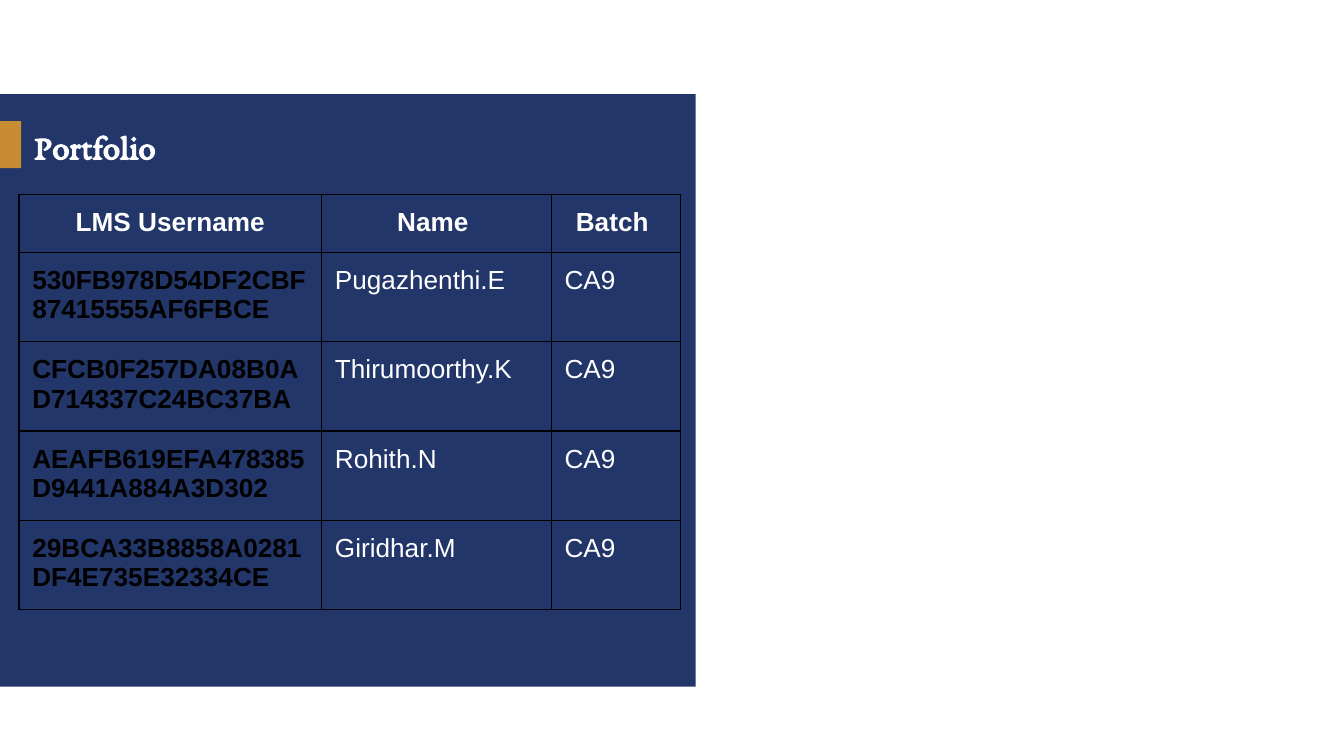
import pptx
import pptx.dml.color
import pptx.enum.shapes
import pptx.enum.text
import pptx.oxml
import pptx.oxml.ns
import pptx.util

Cm = pptx.util.Cm
Pt = pptx.util.Pt
RGBColor = pptx.dml.color.RGBColor
Align = pptx.enum.text.PP_ALIGN
Anchor = pptx.enum.text.MSO_ANCHOR

NAVY = RGBColor(0x22, 0x36, 0x69)
GOLD = RGBColor(0xC8, 0x8C, 0x32)
WHITE = RGBColor(0xFF, 0xFF, 0xFF)
BLACK = RGBColor(0x00, 0x00, 0x00)

HEADERS = ["LMS Username", "Name ", "Batch "]
MEMBERS = [
    ("530FB978D54DF2CBF87415555AF6FBCE", "Pugazhenthi.E"),
    ("CFCB0F257DA08B0AD714337C24BC37BA", "Thirumoorthy.K"),
    ("AEAFB619EFA478385D9441A884A3D302", "Rohith.N"),
    ("29BCA33B8858A0281DF4E735E32334CE", "Giridhar.M"),
]
BATCH = "CA9"
COLUMN_WIDTHS = [5.72, 4.34, 2.44]
HEADER_HEIGHT = 0.91
MEMBER_HEIGHT = 1.57


class SlideBuilder:
    title_font = {"name": "EB Garamond", "size": Pt(18.3), "bold": True}
    table_font = {"name": "Arial", "size": Pt(14)}
    cell_format = {
        "margin_left": Cm(0.25),
        "margin_right": Cm(0.25),
        "margin_top": Cm(0.25),
        "margin_bottom": Cm(0.25),
        "vertical_anchor": Anchor.TOP,
    }
    border_width = Pt(0.75)

    def __init__(self, slide):
        self.slide = slide

    def apply(self, target, values):
        for name, value in values.items():
            setattr(target, name, value)

    def text(self, paragraph, wording, color, font, alignment=Align.LEFT):
        paragraph.alignment = alignment
        run = paragraph.add_run()
        run.text = wording
        self.apply(run.font, font)
        run.font.color.rgb = color

    def block(self, left, top, width, height, color):
        shape = self.slide.shapes.add_shape(
            pptx.enum.shapes.MSO_SHAPE.RECTANGLE,
            Cm(left), Cm(top), Cm(width), Cm(height))
        shape.shadow.inherit = False
        shape.fill.solid()
        shape.fill.fore_color.rgb = color
        shape.line.fill.background()

    def title(self, left, top, width, height, wording):
        box = self.slide.shapes.add_textbox(Cm(left), Cm(top), Cm(width), Cm(height))
        self.apply(box.text_frame, {"word_wrap": True, "vertical_anchor": Anchor.MIDDLE})
        self.text(box.text_frame.paragraphs[0], wording, WHITE, self.title_font)

    def border(self, cell):
        properties = cell._tc.get_or_add_tcPr()
        for position, side in enumerate(("lnL", "lnR", "lnT", "lnB")):
            properties.insert(position, pptx.oxml.parse_xml(
                f'<a:{side} {pptx.oxml.ns.nsdecls("a")} w="{self.border_width}">'
                f'<a:solidFill><a:srgbClr val="{BLACK}"/></a:solidFill></a:{side}>'))

    def cell(self, cell, wording, color, bold, alignment):
        self.apply(cell, self.cell_format)
        cell.fill.background()
        self.border(cell)
        font = {**self.table_font, "bold": bold}
        self.text(cell.text_frame.paragraphs[0], wording, color, font, alignment)

    def table(self, left, top, widths, heights, rows):
        table = self.slide.shapes.add_table(
            len(heights), len(widths), Cm(left), Cm(top),
            Cm(sum(widths)), Cm(sum(heights))).table
        for column, width in zip(table.columns, widths):
            column.width = Cm(width)
        for row, height in zip(table.rows, heights):
            row.height = Cm(height)
        for row_index, wordings in enumerate(rows):
            header = row_index == 0
            for column_index, wording in enumerate(wordings):
                username = not header and column_index == 0
                self.cell(
                    table.cell(row_index, column_index), wording,
                    BLACK if username else WHITE,
                    header or username,
                    Align.CENTER if header else Align.LEFT)


def main():
    presentation = pptx.Presentation()
    presentation.slide_width = Cm(25.4)
    presentation.slide_height = Cm(14.29)
    slide = presentation.slides.add_slide(presentation.slide_layouts[6])
    builder = SlideBuilder(slide)
    builder.block(0, 1.78, 13.15, 11.2, NAVY)
    builder.block(0, 2.29, 0.4, 0.89, GOLD)
    builder.title(0.4, 2.27, 9.5, 0.97, "Portfolio")
    rows = [HEADERS] + [[username, name, BATCH] for username, name in MEMBERS]
    heights = [HEADER_HEIGHT] + [MEMBER_HEIGHT] * len(MEMBERS)
    builder.table(0.36, 3.68, COLUMN_WIDTHS, heights, rows)
    presentation.save("out.pptx")


if __name__ == "__main__":
    main()
